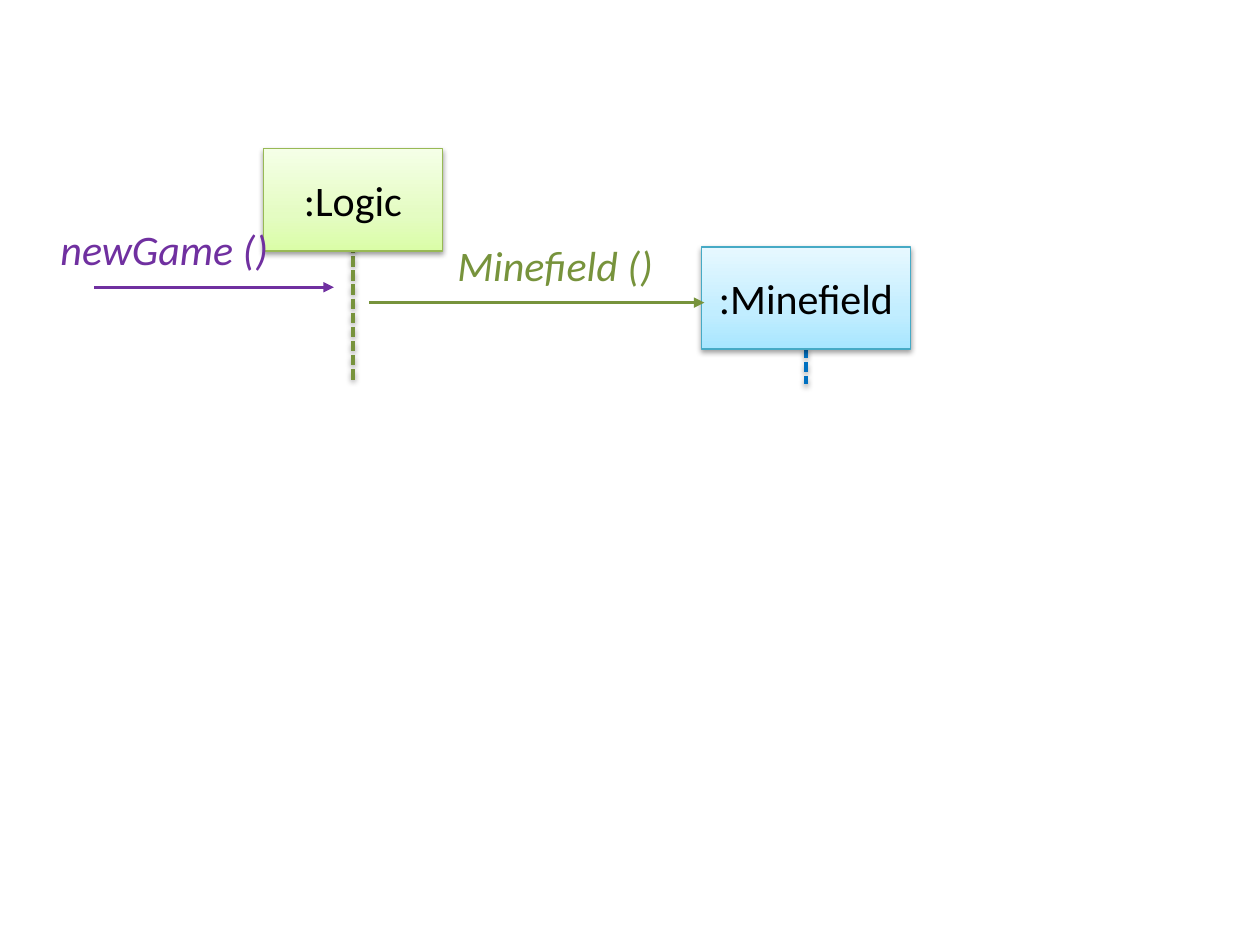
from lxml import etree
from pptx import Presentation
from pptx.dml.color import RGBColor
from pptx.enum.dml import MSO_LINE
from pptx.enum.shapes import MSO_CONNECTOR, MSO_SHAPE
from pptx.enum.text import MSO_ANCHOR, MSO_AUTO_SIZE, PP_ALIGN
from pptx.oxml.ns import qn
from pptx.util import Cm, Pt

RECTANGLE = MSO_SHAPE.RECTANGLE
STRAIGHT = MSO_CONNECTOR.STRAIGHT
DASHED = MSO_LINE.SQUARE_DOT
MIDDLE = MSO_ANCHOR.MIDDLE
GROW = MSO_AUTO_SIZE.SHAPE_TO_FIT_TEXT
LEFT, CENTER = PP_ALIGN.LEFT, PP_ALIGN.CENTER

FONT, FONT_SIZE = "Calibri", 24
GREEN, BLUE, PURPLE = "77933C", "0070C0", "7030A0"
BOX_HEIGHT, LABEL_HEIGHT = 2.06, 1.27
GRADIENT_STOPS = (0, 35, 100)

# Lengths in cm; gradients run from the bottom up.
PARTICIPANTS = [
    {"name": ":Minefield", "left": 14.14, "top": 4.98, "width": 4.22,
     "gradient": ("A7E6FF", "C1EDFF", "E7F8FF"), "border": "46AAC5",
     "lifeline": (7.01, 7.75), "lifeline_color": BLUE},
    {"name": ":Logic", "left": 5.31, "top": 3.0, "width": 3.61,
     "gradient": ("DAFDA7", "E4FCC2", "F5FFE7"), "border": "98B955",
     "lifeline": (4.6, 7.72), "lifeline_color": GREEN},
]
MESSAGES = [
    {"name": "Minefield ()", "color": GREEN, "arrow": (7.44, 14.2, 6.1),
     "label": (8.97, 4.7, 4.85)},
    {"name": "newGame ()", "color": PURPLE, "arrow": (1.9, 6.73, 5.79),
     "label": (0.97, 4.39, 4.88)},
]


def rgb(color):
    return RGBColor.from_string(color)


def set_effects(shape, shadow):
    """Replace the theme effects by a soft shadow below, or by none."""
    properties = shape._element.spPr
    for old in properties.findall(qn("a:effectLst")):
        properties.remove(old)
    effects = etree.SubElement(properties, qn("a:effectLst"))
    if shadow:
        outer = etree.SubElement(effects, qn("a:outerShdw"), blurRad=str(Pt(3.1)),
                                 dist=str(Pt(1.6)), dir="5400000", rotWithShape="0")
        color = etree.SubElement(outer, qn("a:srgbClr"), val="000000")
        etree.SubElement(color, qn("a:alpha"), val="38000")


def set_gradient(shape, colors):
    shape.fill.gradient()
    shape.fill.gradient_angle = 90
    stops = shape._element.spPr.find(qn("a:gradFill")).find(qn("a:gsLst"))
    for old in list(stops):
        stops.remove(old)
    for position, color in zip(GRADIENT_STOPS, colors):
        stop = etree.SubElement(stops, qn("a:gs"), pos=str(position * 1000))
        etree.SubElement(stop, qn("a:srgbClr"), val=color)


def write_text(shape, text, color, alignment, italic=False):
    frame = shape.text_frame
    frame.text = text
    frame.word_wrap = True
    frame.auto_size = GROW
    paragraph = frame.paragraphs[0]
    paragraph.alignment = alignment
    font = paragraph.runs[0].font
    font.name, font.size, font.italic = FONT, Pt(FONT_SIZE), italic
    font.color.rgb = rgb(color)


def add_line(slide, start, end, color, width):
    line = slide.shapes.add_connector(STRAIGHT, *map(Cm, start + end))
    line.line.color.rgb = rgb(color)
    line.line.width = Pt(width)
    return line


def add_lifeline(slide, participant):
    center = participant["left"] + participant["width"] / 2
    top, bottom = participant["lifeline"]
    line = add_line(slide, (center, top), (center, bottom),
                    participant["lifeline_color"], 2)
    line.line.dash_style = DASHED
    set_effects(line, shadow=True)


def add_participant(slide, participant):
    box = slide.shapes.add_shape(
        RECTANGLE, Cm(participant["left"]), Cm(participant["top"]),
        Cm(participant["width"]), Cm(BOX_HEIGHT))
    set_gradient(box, participant["gradient"])
    box.line.color.rgb = rgb(participant["border"])
    box.line.width = Pt(0.75)
    set_effects(box, shadow=True)
    frame = box.text_frame
    frame.margin_top = frame.margin_bottom = Cm(0.51)
    frame.vertical_anchor = MIDDLE
    write_text(box, participant["name"], "000000", CENTER)


def add_message(slide, message):
    start, end, height = message["arrow"]
    arrow = add_line(slide, (start, height), (end, height), message["color"], 1.5)
    etree.SubElement(arrow.line._get_or_add_ln(), qn("a:tailEnd"), type="triangle")
    set_effects(arrow, shadow=False)
    left, top, width = message["label"]
    label = slide.shapes.add_textbox(Cm(left), Cm(top), Cm(width), Cm(LABEL_HEIGHT))
    write_text(label, message["name"], message["color"], LEFT, italic=True)


def main():
    presentation = Presentation()
    presentation.slide_width, presentation.slide_height = Cm(25.4), Cm(19.05)
    slide = presentation.slides.add_slide(presentation.slide_layouts[6])
    for participant in PARTICIPANTS:
        add_lifeline(slide, participant)
        add_participant(slide, participant)
    for message in MESSAGES:
        add_message(slide, message)
    presentation.save("out.pptx")


if __name__ == "__main__":
    main()
